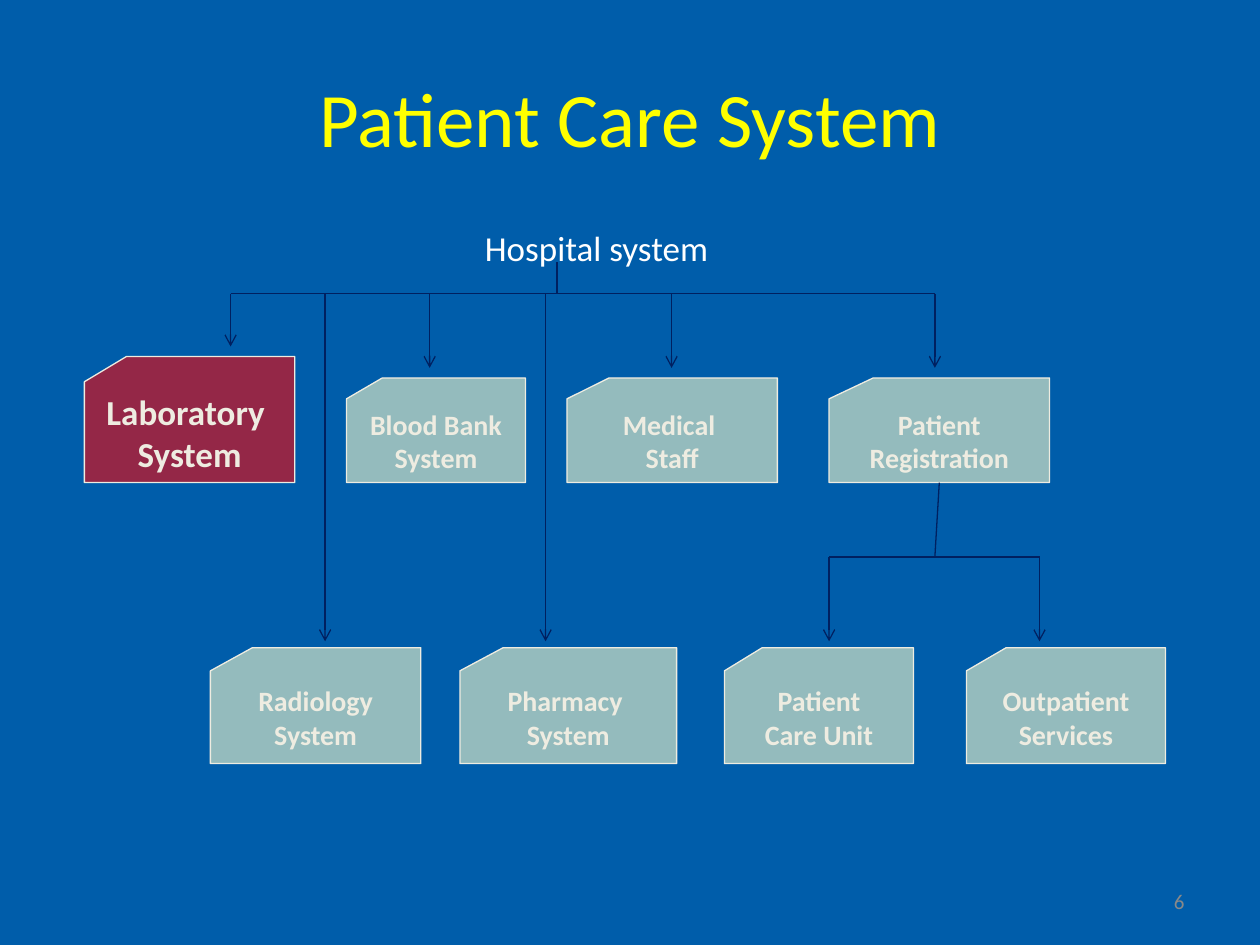
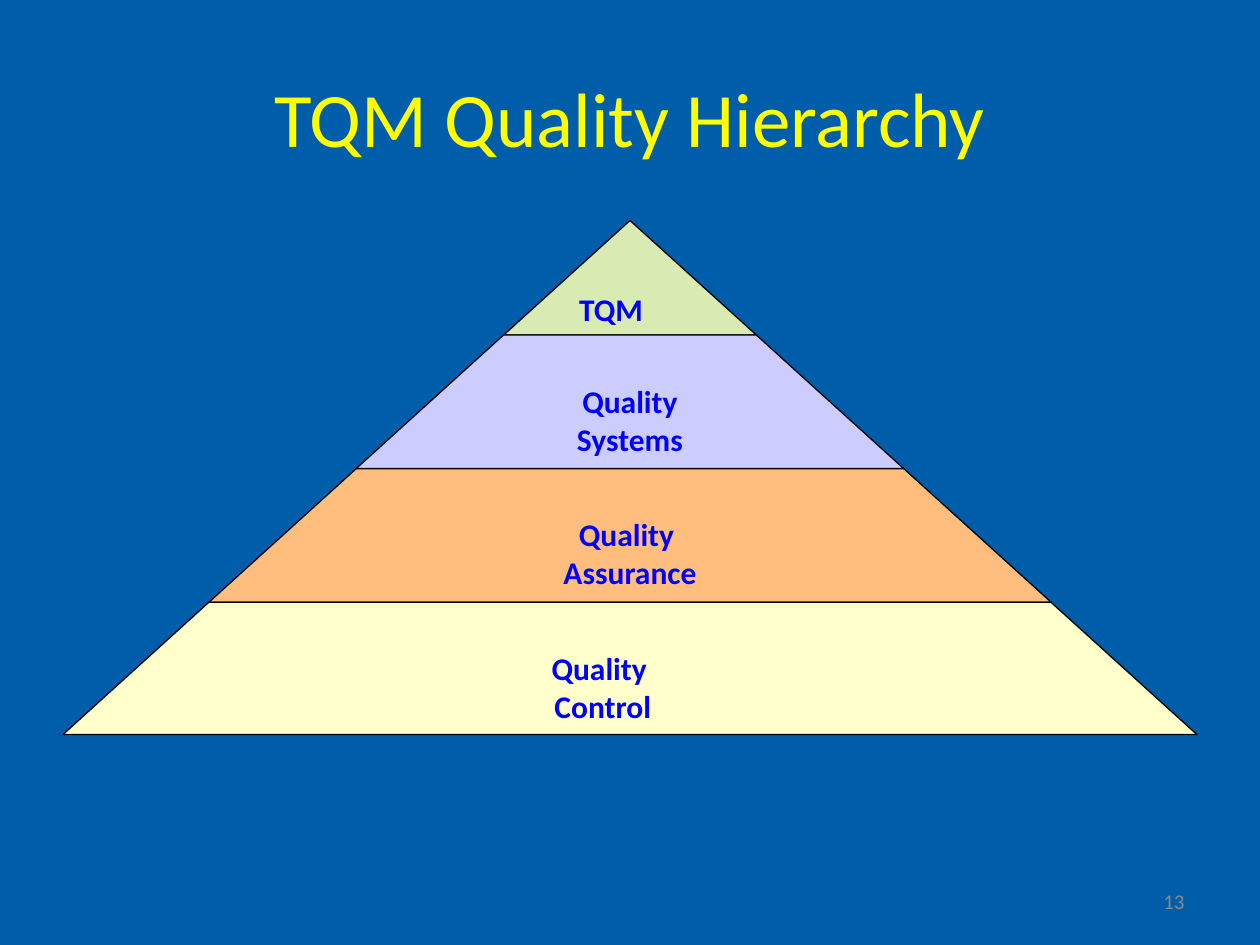
"""Build two slides: a hospital system chart and a quality pyramid."""
from lxml.etree import SubElement
from pptx import Presentation
from pptx.dml.color import RGBColor
from pptx.enum.shapes import MSO_CONNECTOR, MSO_SHAPE
from pptx.enum.text import MSO_ANCHOR, PP_ALIGN
from pptx.oxml.ns import qn
from pptx.util import Inches, Pt

FONT = "Calibri"
COLORS = {
    "background": "005DAA", "title": "FFFF00", "number": "898989",
    "heading": "FFFFFF", "line": "002060", "card": "FFFFCC",
    "highlight": "FF0000", "card_text": "EEECE1", "outline": "000000",
    "tier_text": "0000FF", "tqm": "D8EBB3", "systems": "CCCCFF",
    "assurance": "FFBE7D", "control": "FFFFCC",
}

CARD_ALPHA = 58
UPPER, LOWER = (3, 0.83), (5.14, 0.92)
CARDS = [
    ("Laboratory \nSystem", 0.67, 1.67, (2.83, 1), "highlight", 20),
    ("Blood Bank\nSystem", 2.75, 1.42, UPPER, "card", 16),
    ("Medical \nStaff", 4.5, 1.67, UPPER, "card", 16),
    ("Patient\nRegistration", 6.58, 1.75, UPPER, "card", 16),
    ("Radiology\nSystem", 1.67, 1.67, LOWER, "card", 16),
    ("Pharmacy \nSystem", 3.65, 1.72, LOWER, "card", 16),
    ("Patient\nCare Unit", 5.75, 1.5, LOWER, "card", 16),
    ("Outpatient\nServices", 7.67, 1.58, LOWER, "card", 16),
]
BRANCHES = [
    (2.33, [(1.83, 2.75), (2.58, 5.09), (3.41, 2.92),
            (4.33, 5.09), (5.33, 2.92), (7.42, 2.92)]),
    (4.42, [(6.58, 5.09), (8.25, 5.09)]),
]

APEX_X, APEX_Y, BASE_Y, HALF_BASE = 5, 1.75, 5.83, 4.5
TIERS = [
    ("TQM", "tqm", 2.66, PP_ALIGN.LEFT, (0.6, 0.55, 0.1)),
    ("Quality\nSystems", "systems", 3.72, PP_ALIGN.CENTER, (0.1, 0.37, 0.1)),
    ("Quality \nAssurance", "assurance", 4.78, PP_ALIGN.CENTER, (0.1, 0.37, 0.1)),
    ("Quality \nControl", "control", BASE_Y, PP_ALIGN.CENTER, (0.1, 0.37, 0.53)),
]


def rgb(name):
    return RGBColor.from_string(COLORS[name])


def write(sp, text, size, color, align, bold=False, anchor=MSO_ANCHOR.TOP, wrap=True):
    tf = sp.text_frame
    tf.text = text
    tf.word_wrap = wrap
    tf.vertical_anchor = anchor
    for p in tf.paragraphs:
        p.alignment = align
        for r in p.runs:
            r.font.name = FONT
            r.font.size = Pt(size)
            r.font.bold = bold
            r.font.color.rgb = rgb(color)


def paint(sp, fill, line):
    sp.shadow.inherit = False
    sp.fill.solid()
    sp.fill.fore_color.rgb = rgb(fill)
    sp.line.color.rgb = rgb(line)
    sp.line.width = Pt(0.75)


def add_text(s, box, *args, **kwargs):
    sp = s.shapes.add_textbox(*map(Inches, box))
    write(sp, *args, **kwargs)


def add_slide(prs, title, number):
    s = prs.slides.add_slide(prs.slide_layouts[5])
    sp = s.shapes.title
    sp.left, sp.top, sp.width, sp.height = map(Inches, (0.5, 0.3, 9, 1.25))
    write(sp, title, 44, "title", PP_ALIGN.CENTER, anchor=MSO_ANCHOR.MIDDLE)
    add_text(s, (7.17, 6.95, 2.33, 0.4), number, 12, "number", PP_ALIGN.RIGHT,
             anchor=MSO_ANCHOR.MIDDLE)
    return s


def add_card(s, text, left, width, row, fill, size):
    top, height = row
    sp = s.shapes.add_shape(MSO_SHAPE.FLOWCHART_CARD,
                            *map(Inches, (left, top, width, height)))
    paint(sp, fill, "card_text")
    color = sp._element.spPr.find(qn("a:solidFill")).find(qn("a:srgbClr"))
    SubElement(color, qn("a:alpha")).set("val", str(CARD_ALPHA * 1000))
    write(sp, text, size, "card_text", PP_ALIGN.CENTER, bold=True,
          anchor=MSO_ANCHOR.MIDDLE, wrap=False)
    return sp


def add_line(s, x1, y1, x2, y2, arrow=False):
    line = s.shapes.add_connector(MSO_CONNECTOR.STRAIGHT,
                                  *map(Inches, (x1, y1, x2, y2)))
    line.line.color.rgb = rgb("line")
    line.line.width = Pt(0.75)
    spPr = line._element.spPr
    if arrow:
        SubElement(spPr.find(qn("a:ln")), qn("a:tailEnd")).set("type", "arrow")
    SubElement(spPr, qn("a:effectLst"))
    return line


def build_system_chart(prs):
    s = add_slide(prs, "Patient Care System", "6")
    add_text(s, (3.75, 1.75, 2.2, 0.44), "Hospital system", 20, "heading", PP_ALIGN.LEFT)
    cards = {card[0]: add_card(s, *card) for card in CARDS}
    for bar_y, drops in BRANCHES:
        add_line(s, drops[0][0], bar_y, drops[-1][0], bar_y)
        for x, end_y in drops:
            add_line(s, x, bar_y, x, end_y, arrow=True)
    add_line(s, 4.42, 2.08, 4.42, 2.33)
    stem = add_line(s, 7.46, 3.83, 7.42, 4.42)
    stem.begin_connect(cards["Patient\nRegistration"], 2)


def build_pyramid(prs):
    s = add_slide(prs, "TQM Quality Hierarchy", "13")
    slope = HALF_BASE / (BASE_Y - APEX_Y)
    top = APEX_Y
    for text, fill, bottom, align, margins in TIERS:
        upper, lower = (slope * (y - APEX_Y) for y in (top, bottom))
        points = [(APEX_X + upper, top), (APEX_X + lower, bottom),
                  (APEX_X - lower, bottom), (APEX_X - upper, top)]
        points = [(Inches(x), Inches(y)) for x, y in points]
        outline = s.shapes.build_freeform(*points[0])
        outline.add_line_segments(points[1:], close=True)
        sp = outline.convert_to_shape()
        paint(sp, fill, "outline")
        write(sp, text, 18, "tier_text", align, bold=True)
        tf = sp.text_frame
        tf.margin_left, tf.margin_top, tf.margin_right = map(Inches, margins)
        top = bottom


def main():
    prs = Presentation()
    prs.slide_width, prs.slide_height = Inches(10), Inches(7.5)
    background = prs.slide_master.background.fill
    background.solid()
    background.fore_color.rgb = rgb("background")
    build_system_chart(prs)
    build_pyramid(prs)
    prs.save("out.pptx")


if __name__ == "__main__":
    main()
